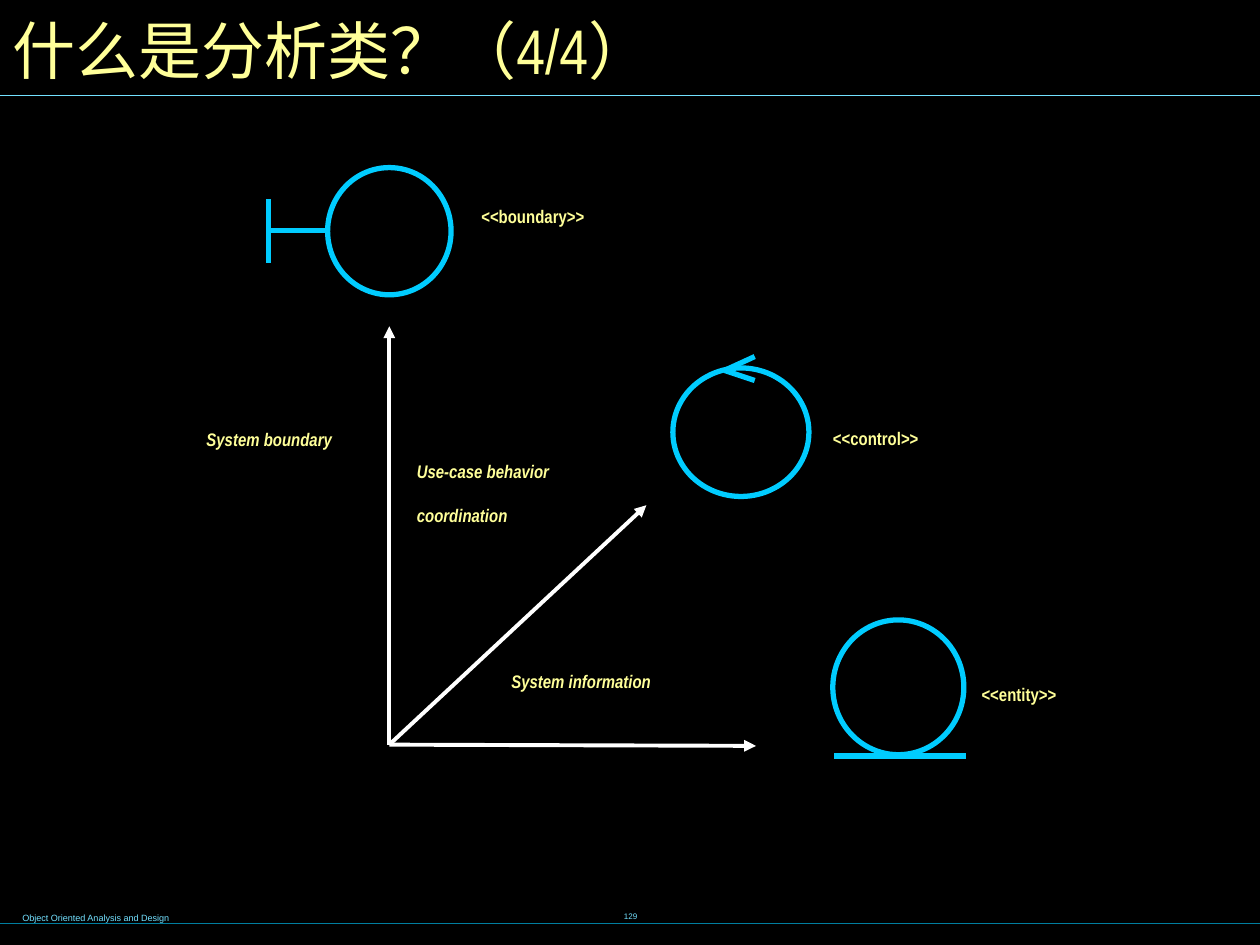
from lxml import etree
from pptx import Presentation
from pptx.dml.color import RGBColor
from pptx.enum.shapes import MSO_CONNECTOR, MSO_SHAPE
from pptx.enum.text import MSO_ANCHOR, PP_ALIGN
from pptx.oxml.ns import qn
from pptx.util import Inches, Pt

STRAIGHT, ELLIPSE = MSO_CONNECTOR.STRAIGHT, MSO_SHAPE.OVAL
TOP, MIDDLE = MSO_ANCHOR.TOP, MSO_ANCHOR.MIDDLE
LEFT, CENTER = PP_ALIGN.LEFT, PP_ALIGN.CENTER

# Grid of 100 columns by 75 rows; all positions are counted in cells
COLUMNS, ROWS = 100, 75
CELL = Inches(0.1)
YELLOW, CYAN, PALE, WHITE = "FFFF99", "00CCFF", "73E1FF", "FFFFFF"
NARROW = "Arial Narrow"

deck = Presentation()
deck.slide_width, deck.slide_height = COLUMNS * CELL, ROWS * CELL
page = deck.slides.add_slide(deck.slide_layouts[6])
page.background.fill.solid()
page.background.fill.fore_color.rgb = RGBColor.from_string("000000")


def add_line(start, end, color, width, arrow=False):
    ends = [round(value * CELL) for value in (*start, *end)]
    line = page.shapes.add_connector(STRAIGHT, *ends)
    line.line.color.rgb = RGBColor.from_string(color)
    line.line.width = Pt(width)
    properties = line._element.spPr
    if arrow:
        outline = properties.find(qn("a:ln"))
        etree.SubElement(outline, qn("a:tailEnd"), type="triangle")
    etree.SubElement(properties, qn("a:effectLst"))


def add_text(place, text, size, color, font=NARROW, bold=False, italic=False,
             lowered=True, anchor=TOP, align=LEFT, wrap=True, inset=0.5):
    box = page.shapes.add_textbox(*[round(value * CELL) for value in place])
    frame = box.text_frame
    frame.word_wrap = wrap
    frame.vertical_anchor = anchor
    frame.margin_left = frame.margin_right = round(2 * inset * CELL)
    frame.margin_top = frame.margin_bottom = round(inset * CELL)
    para = frame.paragraphs[0]
    para.alignment = align
    span = para.add_run()
    span.text = text
    span.font.name, span.font.size = font, Pt(size)
    span.font.bold, span.font.italic = bold, italic
    span.font.color.rgb = RGBColor.from_string(color)
    if lowered:  # subscript
        span.font._element.set("baseline", "-30000")


# Footer, page number and rules
add_text((0.8, 71, 51, 2.5), "Object Oriented Analysis and Design", 9, PALE,
         font="Arial")
add_text((34.2, 69.8, 31.7, 5), "129", 8, PALE, font="Arial",
         anchor=MIDDLE, align=CENTER)
for row, color in ((73.3, "007E9F"), (7.6, PALE)):
    add_line((0, row), (COLUMNS, row), color, 0.75)

# Title
add_text((0, 0, 99.3, 7.8), "什么是分析类？（4/4）", 36, YELLOW,
         lowered=False, anchor=MIDDLE)

# Three axes from one origin
origin = (30.9, 59.1)
for tip in ((30.9, 25.9), (60, 59.2), (51.3, 40.1)):
    add_line(origin, tip, WHITE, 2.25, arrow=True)

# Axis labels
for place, text in (
    ((15.4, 31.7, 14.2, 7), "System boundary"),
    ((32.1, 34.2, 15.8, 10), "Use-case behavior coordination"),
    ((39.6, 50.9, 16.7, 7), "System information"),
):
    add_text(place, text, 18, YELLOW, bold=True, italic=True)

# Stereotype symbols: circle, extra strokes, label
symbols = (
    ((26, 13.3, 9.8, 10.1),
     (((21.3, 15.8), (21.3, 20.9)), ((21.3, 18.3), (26, 18.3))),
     (37, 13.9, 16.6, 4.2), "<<boundary>>"),
    ((53.4, 29.2, 10.8, 10.2),
     (((59.9, 28.3), (57.5, 29.4)), ((59.9, 30.2), (57.5, 29.4))),
     (64.9, 31.5, 14.2, 4.2), "<<control>>"),
    ((66.1, 49.2, 10.4, 10.7),
     (((66.2, 60), (76.7, 60)),),
     (76.7, 51.8, 12.7, 4.2), "<<entity>>"),
)
for place, strokes, label_place, label in symbols:
    circle = page.shapes.add_shape(
        ELLIPSE, *[round(value * CELL) for value in place])
    circle.shadow.inherit = False
    circle.fill.background()
    circle.line.color.rgb = RGBColor.from_string(CYAN)
    circle.line.width = Pt(3)
    for start, end in strokes:
        add_line(start, end, CYAN, 3)
    add_text(label_place, label, 18, YELLOW, bold=True, wrap=False, inset=0.6)

deck.save("out.pptx")
